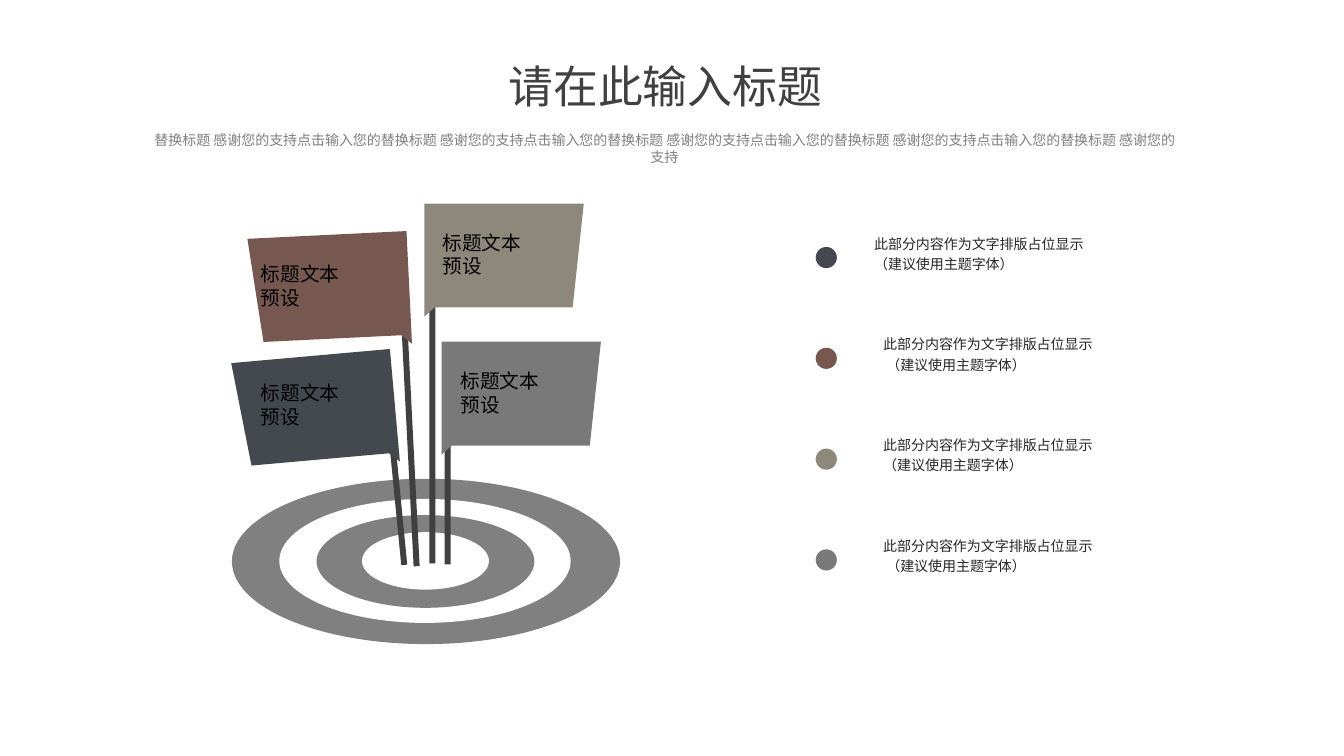
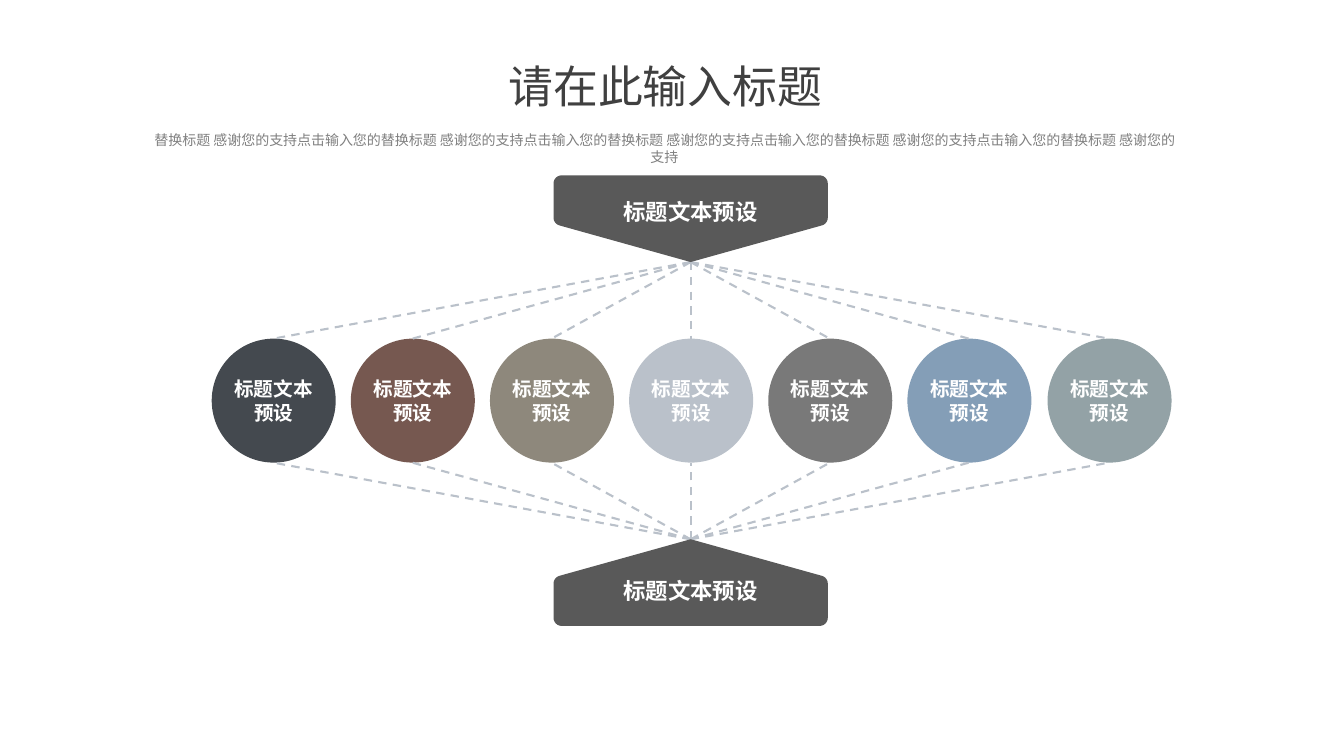
from copy import deepcopy
from math import cos, radians, sin

from lxml.etree import SubElement
from pptx import Presentation
from pptx.dml.color import RGBColor
from pptx.enum.dml import MSO_LINE
from pptx.enum.shapes import MSO_CONNECTOR, MSO_SHAPE
from pptx.enum.text import MSO_ANCHOR, MSO_AUTO_SIZE, PP_ALIGN
from pptx.oxml.ns import qn
from pptx.util import Pt

PX = 9144  # 100 px to the inch
FONT = "Noto Sans CJK SC"
NAVY, BROWN, KHAKI, GRAY = "44494F", "765850", "8E887C", "797979"
MIST, BLUE, SAGE = "BAC1CA", "849EB7", "93A2A6"
DARK, BANNER, RING, INK = "404040", "595959", "808080", "262626"
WHITE, BLACK = "FFFFFF", "000000"
LABEL = "标题文本\n预设"


def paint(shape, color):
    """Give the shape a flat fill without line or shadow."""
    shape.shadow.inherit = False
    shape.fill.solid()
    shape.fill.fore_color.rgb = RGBColor.from_string(color)
    shape.line.fill.background()
    return shape


def write(shape, *texts, size, color, bold=False, align=PP_ALIGN.LEFT, anchor=MSO_ANCHOR.TOP,
          wrap=True, spacing=None, insets=(10, 5, 10, 5), grow=False):
    """Write one paragraph per text; insets are left, top, right, bottom in px."""
    frame = shape.text_frame
    frame.word_wrap = wrap
    frame.vertical_anchor = anchor
    frame.auto_size = MSO_AUTO_SIZE.SHAPE_TO_FIT_TEXT if grow else MSO_AUTO_SIZE.NONE
    (frame.margin_left, frame.margin_top,
     frame.margin_right, frame.margin_bottom) = [PX * inset for inset in insets]
    for index, text in enumerate(texts):
        paragraph = frame.add_paragraph() if index else frame.paragraphs[0]
        paragraph.text = text
        paragraph.alignment = align
        if spacing:
            paragraph.line_spacing = spacing
        for run in paragraph.runs:
            run.font.name = FONT
            run.font.size = Pt(size)
            run.font.bold = bold
            run.font.color.rgb = RGBColor.from_string(color)
        for line_break in paragraph._p.findall(qn("a:br")):
            line_break.append(deepcopy(paragraph.runs[0]._r.rPr))


presentation = Presentation()
presentation.slide_width, presentation.slide_height = 1333 * PX, 750 * PX
blank = presentation.slide_layouts[6]

# Slide 1: flags planted in a target, with a list beside it
slide = presentation.slides.add_slide(blank)
rings = [
    ((230, 475, 385, 164), RING),
    ((277, 495, 289, 123), WHITE),
    ((314, 511, 216, 92), RING),
    ((359, 528, 126, 57), WHITE),
]
for box, color in rings:
    paint(slide.shapes.add_shape(MSO_SHAPE.OVAL, *[PX * value for value in box]), color)

FLAG_WIDTH = 158
FLAG_OUTLINE = [(0, 0), (158, 0), (147, 103), (10, 103), (0, 112)]
# flag left and top, mirrored, flag angle, pole box, pole angle, colour
flags = [
    (438, 339, False, 0, (441, 343, 6, 217), 0, GRAY),
    (421, 202, False, 0, (426, 209, 6, 350), 0, KHAKI),
    (234, 353, True, -5.1, (388, 356, 6, 205), -5.6, NAVY),
    (248, 233, True, -2.8, (402, 234, 6, 328), -2.9, BROWN),
]
for left, top, mirrored, flag_angle, pole_box, pole_angle, color in flags:
    pole = slide.shapes.add_shape(MSO_SHAPE.RECTANGLE, *[PX * value for value in pole_box])
    paint(pole, DARK).rotation = pole_angle
    points = [(PX * (left + (FLAG_WIDTH - x if mirrored else x)), PX * (top + y))
              for x, y in FLAG_OUTLINE]
    builder = slide.shapes.build_freeform(*points[0])
    builder.add_line_segments(points[1:])
    paint(builder.convert_to_shape(), color).rotation = flag_angle

for box in [(429, 202, 131, 100), (447, 339, 131, 101), (249, 353, 131, 97), (249, 234, 153, 99)]:
    write(slide.shapes.add_textbox(*[PX * value for value in box]), LABEL,
          size=14, color=BLACK, anchor=MSO_ANCHOR.MIDDLE, wrap=False)

items = [
    (NAVY, 828, "此部分内容作为文字排版占位显示\n（建议使用主题字体）"),
    (BROWN, 837, "此部分内容作为文字排版占位显示\n （建议使用主题字体）"),
    (KHAKI, 837, "此部分内容作为文字排版占位显示\n（建议使用主题字体）"),
    (GRAY, 837, "此部分内容作为文字排版占位显示\n （建议使用主题字体）"),
]
for row, (color, left, text) in enumerate(items):
    top = 225 + 100 * row
    dot = slide.shapes.add_shape(MSO_SHAPE.OVAL, 809 * PX, (top + 20) * PX, 21 * PX, 21 * PX)
    paint(dot, color)
    write(slide.shapes.add_textbox(left * PX, top * PX, 293 * PX, 61 * PX), text,
          size=10, color=INK, spacing=1.2, insets=(39, 5, 10, 5))

# Slide 2: seven circles tied to a banner above and a banner below
slide = presentation.slides.add_slide(blank)
CIRCLE_TOP, CIRCLE_SIZE = 336, 123
APEX_X, UPPER_APEX, LOWER_APEX = 685, 260, 535
for index, color in enumerate([NAVY, BROWN, KHAKI, MIST, GRAY, BLUE, SAGE]):
    left = 210 + 829 * index // 6
    circle = slide.shapes.add_shape(MSO_SHAPE.OVAL, left * PX, CIRCLE_TOP * PX,
                                    CIRCLE_SIZE * PX, CIRCLE_SIZE * PX)
    write(paint(circle, color), LABEL, size=14, color=WHITE, bold=True, align=PP_ALIGN.CENTER,
          anchor=MSO_ANCHOR.MIDDLE, wrap=False, insets=(0, 0, 0, 0))
    center = left + CIRCLE_SIZE // 2
    for apex_y, edge_y in [(UPPER_APEX, CIRCLE_TOP), (LOWER_APEX, CIRCLE_TOP + CIRCLE_SIZE)]:
        tie = slide.shapes.add_connector(MSO_CONNECTOR.STRAIGHT, APEX_X * PX, apex_y * PX,
                                         center * PX, edge_y * PX)
        tie.line.color.rgb = RGBColor.from_string(MIST)
        tie.line.width = Pt(1.5)
        tie.line.dash_style = MSO_LINE.DASH
        SubElement(tie._element.spPr, qn("a:effectLst"))

# Banner outline pointing down, y measured from its flat edge
RADIUS = 8
outline = []
for corner_x, corner_y, start in [(557, 8, 180), (813, 8, 270), (813, 42, 0), (557, 42, 90)]:
    if start == 90:
        outline += [(814, 50), (APEX_X, 86), (556, 50)]
    for angle in range(start, start + 91, 15):
        outline.append((corner_x + RADIUS * cos(radians(angle)),
                        corner_y + RADIUS * sin(radians(angle))))

for flat_edge, direction, insets in [(621, -1, (10, 20, 10, 5)), (174, 1, (10, 5, 10, 20))]:
    points = [(PX * x, PX * (flat_edge + direction * y)) for x, y in outline]
    builder = slide.shapes.build_freeform(*points[0])
    builder.add_line_segments(points[1:])
    write(paint(builder.convert_to_shape(), BANNER), "标题文本预设", size=16, color=WHITE, bold=True,
          align=PP_ALIGN.CENTER, anchor=MSO_ANCHOR.MIDDLE, wrap=False, insets=insets)

# Heading shared by both slides
phrase = "替换标题 感谢您的支持点击输入您的"
for slide in presentation.slides:
    write(slide.shapes.add_textbox(87 * PX, 126 * PX, 1144 * PX, 44 * PX),
          phrase * 4 + "替换标题 感谢您的", "支持",
          size=10, color=RING, align=PP_ALIGN.CENTER, grow=True)
    write(slide.shapes.add_textbox(489 * PX, 43 * PX, 342 * PX, 63 * PX), "请在此输入标题",
          size=32, color=DARK, align=PP_ALIGN.CENTER, spacing=1.2, grow=True)

presentation.save("out.pptx")
